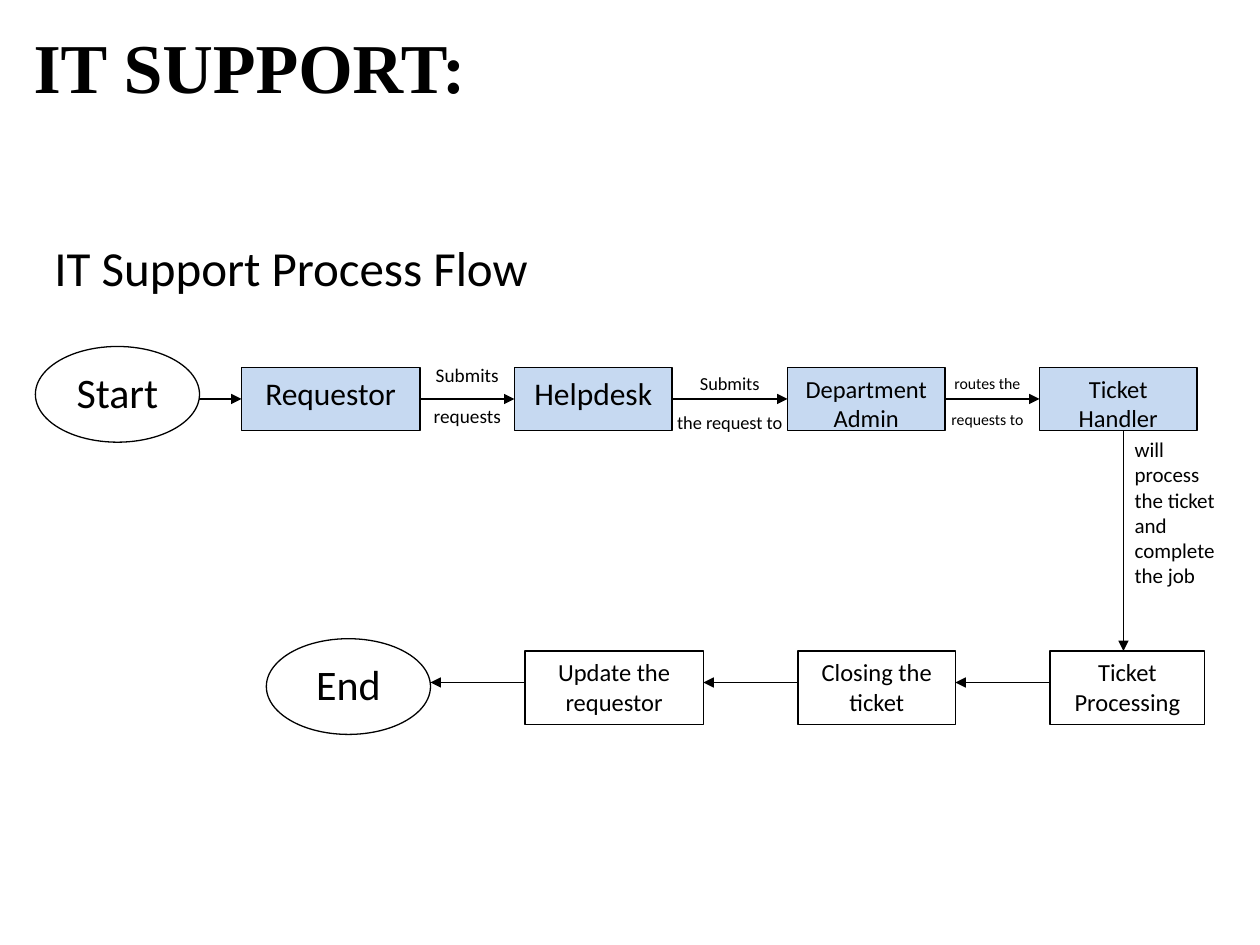
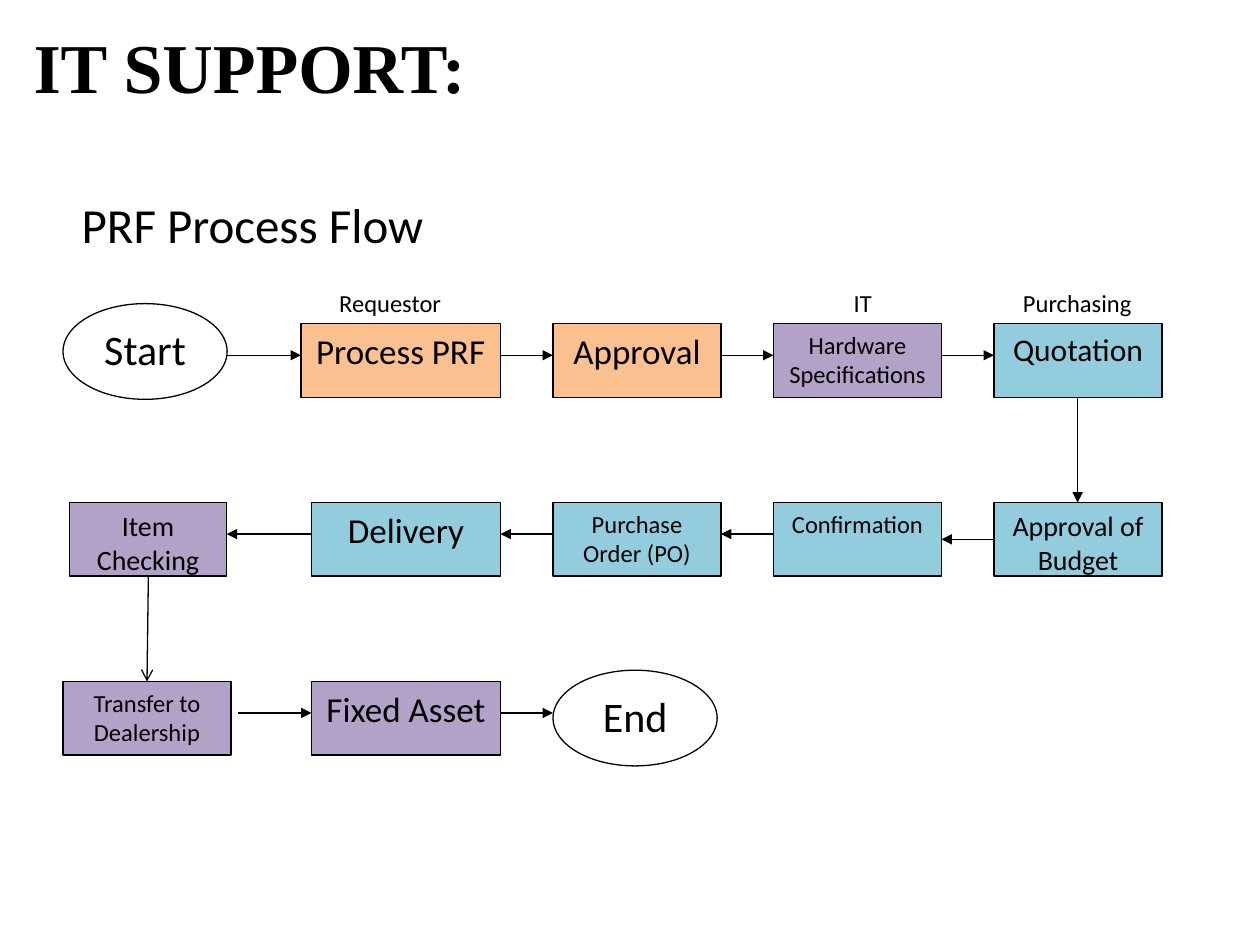
"""Build two IT support process-flow slides."""
import pptx
import pptx.dml.color
import pptx.enum.shapes
import pptx.enum.text
import pptx.oxml
import pptx.oxml.ns
import pptx.util

Pt = pptx.util.Pt
RGBColor = pptx.dml.color.RGBColor
Shapes = pptx.enum.shapes.MSO_SHAPE
Align = pptx.enum.text.PP_ALIGN

BLACK = RGBColor(0x00, 0x00, 0x00)
WHITE = RGBColor(0xFF, 0xFF, 0xFF)
PALE_BLUE = RGBColor(0xC6, 0xD9, 0xF1)
ORANGE = RGBColor(0xFA, 0xC0, 0x90)
PURPLE = RGBColor(0xB3, 0xA2, 0xC7)
TEAL = RGBColor(0x93, 0xCD, 0xDD)

TITLE_FONT = "Times New Roman"
BODY_FONT = "Calibri"
TITLE_ONLY = 5
ARROW_DROP = 18


class FlowDeck:
    """Holds the deck style and the current slide, and draws flow elements."""

    def __init__(self):
        self.deck = pptx.Presentation()
        self.deck.slide_width, self.deck.slide_height = Pt(720), Pt(540)
        self.slide = None

    def add_slide(self, title):
        self.slide = self.deck.slides.add_slide(self.deck.slide_layouts[TITLE_ONLY])
        box = self.slide.shapes.title
        box.left, box.top, box.width, box.height = Pt(12), Pt(10), Pt(630), Pt(55.7)
        self.set_text(box, [title], 40, Align.LEFT, TITLE_FONT, True)

    def set_text(self, box, lines, size, align, font=BODY_FONT, bold=False):
        frame = box.text_frame
        frame.word_wrap = True
        frame.auto_size = pptx.enum.text.MSO_AUTO_SIZE.NONE
        frame.vertical_anchor = pptx.enum.text.MSO_ANCHOR.TOP
        frame.text = "\n".join(lines)
        for paragraph in frame.paragraphs:
            paragraph.alignment = align
            paragraph.space_after = Pt(10)
            paragraph.font.name = font
            paragraph.font.size = Pt(size)
            paragraph.font.bold = bold
            paragraph.font.color.rgb = BLACK

    def label(self, lines, left, top, width, height, size, align=Align.CENTER):
        box = self.slide.shapes.add_textbox(Pt(left), Pt(top), Pt(width), Pt(height))
        self.set_text(box, lines, size, align)

    def step(self, text, left, top, width, height, size, fill=WHITE, kind=Shapes.RECTANGLE):
        box = self.slide.shapes.add_shape(kind, Pt(left), Pt(top), Pt(width), Pt(height))
        box.shadow.inherit = False
        box.fill.solid()
        box.fill.fore_color.rgb = fill
        box.line.color.rgb = BLACK
        box.line.width = Pt(0.75)
        self.set_text(box, [text], size, Align.CENTER)
        return box

    def terminal(self, text, left, top):
        return self.step(text, left, top, 93.8, 54.7, 24, kind=Shapes.OVAL)

    def arrow(self, start_x, start_y, end_x, end_y, head="triangle"):
        line = self.slide.shapes.add_connector(
            pptx.enum.shapes.MSO_CONNECTOR.STRAIGHT, start_x, start_y, end_x, end_y)
        line.line.color.rgb = BLACK
        line.line.width = Pt(0.75)
        properties = line.element.spPr
        tail = pptx.oxml.parse_xml(f'<a:tailEnd {pptx.oxml.ns.nsdecls("a")} type="{head}"/>')
        properties.find(pptx.oxml.ns.qn("a:ln")).append(tail)
        properties.append(pptx.oxml.parse_xml(f'<a:effectLst {pptx.oxml.ns.nsdecls("a")}/>'))

    def link(self, first, second, height):
        if first.left < second.left:
            start, end = first.left + first.width, second.left
        else:
            start, end = first.left, second.left + second.width
        self.arrow(start, Pt(height), end, Pt(height))

    def chain(self, boxes, height):
        for first, second in zip(boxes, boxes[1:]):
            self.link(first, second, height)


def build_support_flow(flow):
    flow.add_slide("IT SUPPORT:")
    flow.label(["IT Support Process Flow"], 24, 132, 323, 43, 28, Align.LEFT)

    top, height = 210, 36
    people = [flow.terminal("Start", 20.2, 198)]
    for text, left, width, size in (
            ("Requestor", 138, 102, 18), ("Helpdesk", 294, 90, 18),
            ("Department Admin", 450, 90, 14), ("Ticket Handler", 594, 90, 14)):
        people.append(flow.step(text, left, top, width, height, size, PALE_BLUE))
    flow.chain(people, top + ARROW_DROP)

    for lines, left, label_top, width, size in (
            (["Submits", "requests"], 240, 204, 54, 11),
            (["Submits", "the request to"], 378, 209, 78, 10.5),
            (["routes the", "requests to"], 534, 210, 60.5, 9)):
        flow.label(lines, left, label_top, width, 43, size)
    flow.label(["will process the ticket and complete the job"],
               641.3, 246, 61, 114, 12, Align.LEFT)

    lower = 372
    flow.arrow(Pt(642), Pt(top + height), Pt(642), Pt(lower))
    actions = [flow.step(text, left, lower, width, 42, 14) for text, left, width in (
        ("Ticket Processing", 600, 88.5), ("Closing the ticket", 456, 90),
        ("Update the requestor", 300, 102))]
    actions.append(flow.terminal("End", 152.2, 365))
    flow.chain(actions, lower + ARROW_DROP)


def build_prf_flow(flow):
    flow.add_slide("IT SUPPORT:")
    flow.label(["PRF Process Flow"], 39.6, 107.5, 323, 43, 28, Align.LEFT)

    height = 42
    first, second, third = (185 + 102.2 * row for row in range(3))
    third_column, fourth_column, fifth_column = (316 + 126 * column for column in range(3))

    request = [flow.terminal("Start", 36, 173.5)]
    for text, left, width, size, fill in (
            ("Process PRF", 172, 114, 20, ORANGE),
            ("Approval", third_column, 96, 20, ORANGE),
            ("Hardware Specifications", fourth_column, 96, 14, PURPLE),
            ("Quotation", fifth_column, 96, 18, TEAL)):
        request.append(flow.step(text, left, first, width, height, size, fill))
    flow.chain(request, first + ARROW_DROP)
    for text, left, width in (
            ("Requestor", 172, 102), ("IT", 442, 102), ("Purchasing", 561.6, 108)):
        flow.label([text], left, 161.3, width, 18, 14)

    purchase = [flow.step(text, left, second, width, height, size, fill)
                for text, left, width, size, fill in (
                    ("Approval of Budget", fifth_column, 96, 16, TEAL),
                    ("Confirmation", fourth_column, 96, 14, TEAL),
                    ("Purchase Order (PO)", third_column, 96, 14, TEAL),
                    ("Delivery", 178, 108, 20, TEAL),
                    ("Item Checking", 39.6, 90, 16, PURPLE))]
    flow.link(purchase[0], purchase[1], second + height / 2)
    flow.chain(purchase[1:], second + ARROW_DROP)

    flow.step("Transfer to Dealership", 36, third, 96, height, 14, PURPLE)
    asset = flow.step("Fixed Asset", 178, third, 108, height, 20, PURPLE)
    end = flow.terminal("End", third_column, 383)
    handover = Pt(third + ARROW_DROP)
    flow.arrow(Pt(136), handover, asset.left, handover)
    flow.link(asset, end, third + ARROW_DROP)

    flow.arrow(Pt(615.8), Pt(first + height), Pt(615.8), Pt(second))
    flow.arrow(Pt(84.8), Pt(second + height), Pt(84), Pt(third), "arrow")


def main():
    flow = FlowDeck()
    build_support_flow(flow)
    build_prf_flow(flow)
    flow.deck.save("out.pptx")


if __name__ == "__main__":
    main()
